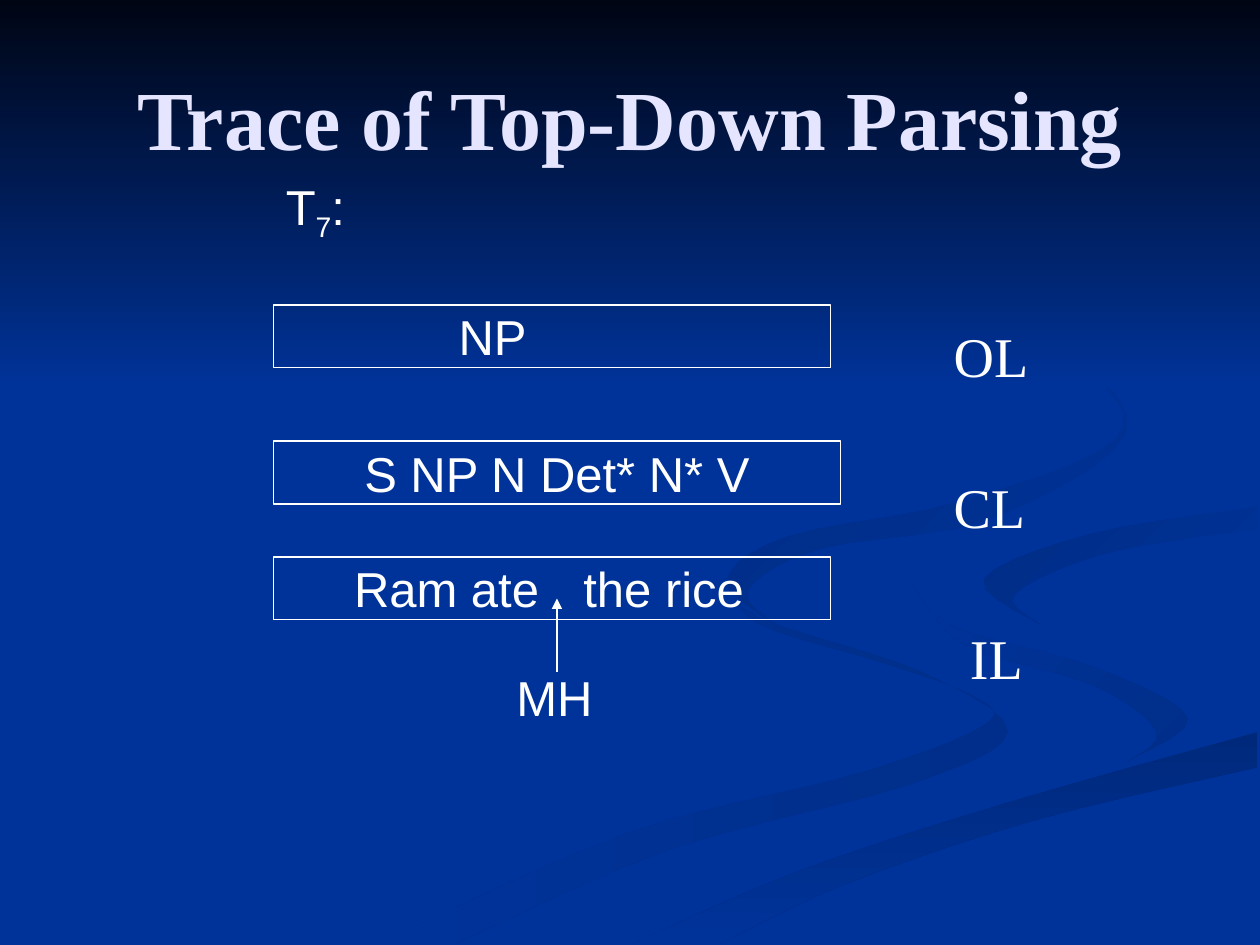
from lxml.etree import SubElement
from pptx import Presentation
from pptx.dml.color import RGBColor
from pptx.enum.shapes import MSO_CONNECTOR as Connector, MSO_SHAPE as Shape
from pptx.enum.text import MSO_ANCHOR as Anchor, PP_ALIGN as Align
from pptx.oxml.ns import qn
from pptx.util import Inches, Pt

COLORS = {
    "blue": "003399", "night": "000514", "title": "E5E5FF", "white": "FFFFFF",
    "shade": "002E8A", "dusk": "00297C", "bend": "002C85", "curl": "002B81",
}
SERIF, SANS = "Times New Roman", "Arial"
CURVE_STEPS = 5

RIBBONS = [
    ("shade", "blue", 180,
     [(5.75, 4.59), (6.02, 4.95), (6.97, 5.25), (7.7, 5.51), (7.83, 5.74),
      (6.84, 6.13), (4.99, 6.61), (3, 7.49)],
     [(3.61, 7.49), (5.32, 6.74), (7.21, 6.23), (8, 5.81), (7.31, 5.33),
      (6.02, 4.9), (5.75, 4.59)]),
    ("shade", "blue", 135,
     [(7.24, 4.64), (7.66, 5.12), (8.68, 5.44), (9.18, 5.81), (8.94, 6.05)],
     [(8.94, 6.05), (9.43, 5.7), (8.7, 5.3), (7.58, 4.98), (7.24, 4.64)]),
    ("dusk", "blue", 270,
     [(5.03, 7.49), (6.3, 6.93), (7.97, 6.38), (9.98, 5.81)],
     [(9.98, 6.09), (8.21, 6.51), (6.7, 7.02), (5.71, 7.49)]),
    ("blue", "bend", 135,
     [(8.26, 4.96), (8.05, 4.72), (8.78, 4.39), (9.98, 4.2)],
     [(9.98, 4.02), (8.65, 4.24), (7.81, 4.6), (8.26, 4.96)]),
    ("blue", "curl", 135,
     [(7.62, 2.33), (8.62, 2.92), (8.86, 3.48), (7.63, 3.98), (6.25, 4.26),
      (5.77, 4.62), (6.22, 5)],
     [(6.22, 5), (5.93, 4.7), (6.49, 4.36), (7.86, 4.12), (8.94, 3.44),
      (8.43, 2.75), (7.62, 2.33)]),
]


def color(name):
    return RGBColor.from_string(COLORS[name])


def blend(a, b, c, d, t):
    return b + t * (c - a + t * (2 * a - 5 * b + 4 * c - d + t * (3 * b - a - 3 * c + d))) / 2


def smooth_edge(knots):
    padded = [knots[0], *knots, knots[-1]]
    curve = [
        tuple(blend(*axis, step / CURVE_STEPS) for axis in zip(*padded[i:i + 4]))
        for i in range(len(knots) - 1)
        for step in range(CURVE_STEPS)
    ]
    return curve + [knots[-1]]


def shade(shape, start, end, angle):
    shape.shadow.inherit = False
    shape.line.fill.background()
    shape.fill.gradient()
    shape.fill.gradient_angle = angle
    for stop, position, name in zip(shape.fill.gradient_stops, (0, 1), (start, end)):
        stop.position = position
        stop.color.rgb = color(name)


def style(frame, font, size, name="white", bold=False):
    for para in frame.paragraphs:
        for span in para.runs:
            span.font.name, span.font.size = font, Pt(size)
            span.font.bold = bold
            span.font.color.rgb = color(name)


def add_text(page, box, text, font, size, name="white", bold=False):
    frame = page.shapes.add_textbox(*map(Inches, box)).text_frame
    frame.word_wrap = True
    frame.text = text
    style(frame, font, size, name, bold)
    return frame


def draw_background(page, box):
    left, top, width, height = box
    page.background.fill.solid()
    page.background.fill.fore_color.rgb = color("blue")
    for start, end, angle, inner, outer in RIBBONS:
        outline = smooth_edge(inner) + smooth_edge(outer)
        points = [(Inches(left + x), Inches(top + y)) for x, y in outline]
        builder = page.shapes.build_freeform(*points[0])
        builder.add_line_segments(points[1:], close=True)
        shade(builder.convert_to_shape(), start, end, angle)
    sky = page.shapes.add_shape(
        Shape.RECTANGLE, Inches(left), Inches(top), Inches(width), Inches(3.08))
    shade(sky, "night", "blue", 270)


def draw_title(page, box):
    frame = add_text(page, box, "Trace of Top-Down Parsing", SERIF, 48, "title", True)
    frame.vertical_anchor = Anchor.MIDDLE
    frame.paragraphs[0].alignment = Align.CENTER


def draw_list(page, box, text, indent=None, tab=None):
    cell = page.shapes.add_shape(Shape.RECTANGLE, *map(Inches, box))
    cell.shadow.inherit = False
    cell.fill.background()
    cell.line.color.rgb = color("white")
    cell.line.width = Pt(0.75)
    frame = cell.text_frame
    frame.vertical_anchor = Anchor.MIDDLE
    frame.text = text
    para = frame.paragraphs[0]
    para.alignment = Align.CENTER if indent is None else Align.LEFT
    if indent is not None:
        frame.margin_left = Inches(indent)
    if tab is not None:
        stops = SubElement(para._p.get_or_add_pPr(), qn("a:tabLst"))
        SubElement(stops, qn("a:tab"), pos=str(Inches(tab)), algn="l")
    style(frame, SANS, 28)


def draw_trace(page, box):
    left, top, width, height = box
    step = add_text(page, (left, top, 4.33, 0.63), "T", SANS, 28)
    para = step.paragraphs[0]
    subscript = para.add_run()
    subscript.text = "7"
    subscript._r.get_or_add_rPr().set("baseline", "-25000")
    para.add_run().text = ":"
    style(step, SANS, 28)

    draw_list(page, (left, top + 1.07, 4.42, 0.5), "NP", indent=1.47)
    draw_list(page, (left, top + 2.15, width, 0.5), "S NP N Det* N* V")
    draw_list(page, (left, top + 3.07, 4.42, 0.5), "Ram ate\tthe rice", indent=0.64, tab=1.82)

    head = Inches(left + 2.25)
    arrow = page.shapes.add_connector(
        Connector.STRAIGHT, head, Inches(top + 3.98), head, Inches(top + 3.4))
    arrow.line.color.rgb = color("white")
    arrow.line.width = Pt(0.75)
    SubElement(arrow.line._get_or_add_ln(), qn("a:tailEnd"), type="triangle")
    SubElement(arrow._element.spPr, qn("a:effectLst"))
    add_text(page, (left + 1.83, top + 3.9, 0.92, 0.57), "MH", SANS, 28)


def draw_labels(page, box):
    frame = add_text(page, box, "OL\nCL\nIL", SERIF, 32)
    for para in frame.paragraphs[1:]:
        para.space_before = Pt(48)
    frame.paragraphs[-1]._p.get_or_add_pPr().set("marL", str(Inches(0.13)))


def main():
    deck = Presentation()
    deck.slide_width, deck.slide_height = Inches(10), Inches(7.5)
    page = deck.slides.add_slide(deck.slide_layouts[6])
    draw_background(page, (0, 0, 10, 7.5))
    draw_title(page, (0.5, 0.3, 9, 1.25))
    draw_labels(page, (7.47, 2.5, 2, 3))
    draw_trace(page, (2.17, 1.35, 4.5, 4.47))
    deck.save("out.pptx")


if __name__ == "__main__":
    main()
